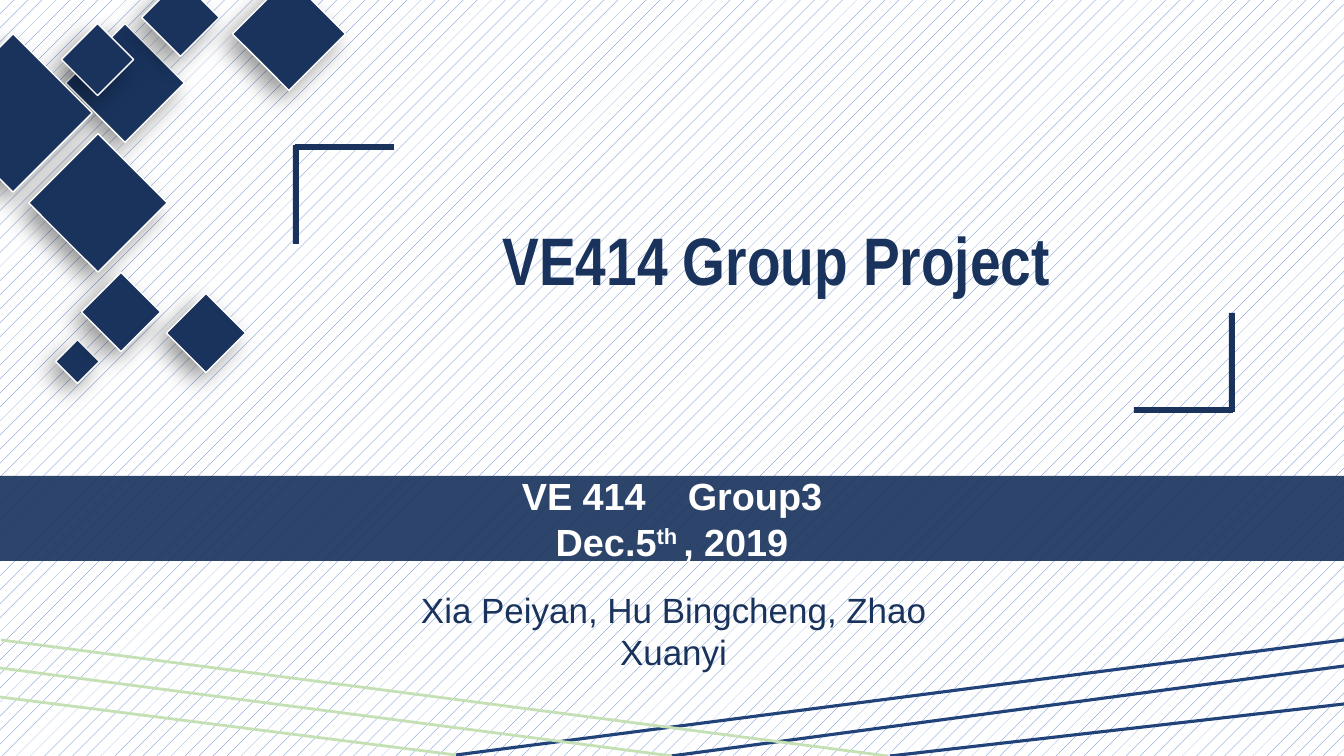
from pptx import Presentation
from pptx.dml.color import RGBColor
from pptx.enum.dml import MSO_PATTERN
from pptx.enum.shapes import MSO_CONNECTOR, MSO_SHAPE
from pptx.enum.text import MSO_ANCHOR, MSO_AUTO_SIZE, PP_ALIGN
from pptx.oxml.ns import qn
from pptx.util import Pt
from lxml import etree

RECTANGLE = MSO_SHAPE.RECTANGLE
STRAIGHT = MSO_CONNECTOR.STRAIGHT
DOTS = MSO_PATTERN.PERCENT_5
TOP, MIDDLE = MSO_ANCHOR.TOP, MSO_ANCHOR.MIDDLE
CENTER = PP_ALIGN.CENTER
NO_AUTOFIT = MSO_AUTO_SIZE.NONE

PX = 914400 / 100.8
THEME = {
    "navy": RGBColor.from_string("19335D"),
    "blue": RGBColor.from_string("214379"),
    "green": RGBColor.from_string("C5E0B4"),
    "hatch": RGBColor.from_string("4472C4"),
    "white": RGBColor.from_string("FFFFFF"),
    "title_font": "Arial Narrow", "body_font": "Arial",
    "title_size": 48, "band_size": 27, "authors_size": 25,
}


def add_block(left, top, width, height):
    block = slide.shapes.add_shape(
        RECTANGLE, *[round(v * PX) for v in (left, top, width, height)])
    block.shadow.inherit = False
    block.fill.solid()
    block.fill.fore_color.rgb = THEME["navy"]
    block.line.fill.background()
    return block


def add_run(paragraph, text, font, size, color, bold):
    paragraph.alignment = CENTER
    run = paragraph.add_run()
    run.text = text
    run.font.name = font
    run.font.size = Pt(size)
    run.font.color.rgb = color
    run.font.bold = bold
    return run


prs = Presentation()
prs.slide_width, prs.slide_height = round(1344 * PX), round(756 * PX)
slide = prs.slides.add_slide(prs.slide_layouts[0])

# Patterned background
backdrop = slide.background.fill
backdrop.patterned()
backdrop.pattern = DOTS
backdrop.fore_color.rgb = THEME["hatch"]
backdrop.back_color.rgb = THEME["white"]

# Title and authors
title, authors = slide.placeholders
for holder, box, text, font, size, bold in [
    (title, (324, 213, 905, 92), "VE414 Group Project",
     THEME["title_font"], THEME["title_size"], True),
    (authors, (357, 583, 633, 52), "Xia Peiyan, Hu Bingcheng, Zhao Xuanyi",
     THEME["body_font"], THEME["authors_size"], False),
]:
    holder.left, holder.top, holder.width, holder.height = [
        round(v * PX) for v in box]
    frame = holder.text_frame
    frame.word_wrap = True
    frame.auto_size = NO_AUTOFIT
    frame.vertical_anchor = TOP
    frame.paragraphs[0].space_before = Pt(0)
    add_run(frame.paragraphs[0], text, font, size, THEME["navy"], bold)

# Course and date band
band = add_block(0, 476, 1344, 85)
band_color = band.fill._xPr.find(qn("a:solidFill"))[0]
etree.SubElement(band_color, qn("a:alpha"), val="91000")
band.text_frame.word_wrap = True
band.text_frame.vertical_anchor = MIDDLE
course = band.text_frame.paragraphs[0]
date = band.text_frame.add_paragraph()
band_style = (THEME["body_font"], THEME["band_size"], THEME["white"], True)
add_run(course, "VE 414", *band_style)
gap = add_run(course, " ", *band_style)
gap.font._element.set("spc", "2250")  # wide gap between course and group
add_run(course, "Group3", *band_style)
add_run(date, "Dec.5", *band_style)
ordinal = add_run(date, "th ", *band_style)
ordinal.font._element.set("baseline", "30000")
add_run(date, ", 2019", *band_style)

# Corner brackets around the title
ARM, THICK = 99, 6
for across, down in [((295, 144), (293, 145)), ((1134, 407), (1229, 313))]:
    add_block(*across, ARM, THICK)
    add_block(*down, THICK, ARM)

# Crossing lines at the bottom
for color, weight, ends in [
    (THEME["blue"], 2.25, [(1344, 640, 456, 755), (1344, 704, 890, 756),
                           (1344, 666, 671, 756)]),
    (THEME["green"], 2, [(1, 640, 888, 756), (0, 668, 672, 756),
                         (0, 697, 456, 755)]),
]:
    for end in ends:
        stripe = slide.shapes.add_connector(
            STRAIGHT, *[round(v * PX) for v in end])
        stripe.line.color.rgb = color
        stripe.line.width = Pt(weight)
        etree.SubElement(stripe._element.spPr, qn("a:effectLst"))

# Shadowed diamonds: left, top, side of each turned square
for left, top, side in [
    (178, 305, 56), (83, 41, 84), (153, -10, 55), (249, -6, 80),
    (49, 154, 98), (72, 34, 51), (-43, 57, 112), (62, 346, 31),
    (93, 284, 56),
]:
    diamond = add_block(left, top, side, side)
    diamond.rotation = 45
    diamond.line.color.rgb = THEME["white"]
    diamond.line.width = Pt(1)
    effects = diamond._element.spPr.find(qn("a:effectLst"))
    shadow = etree.SubElement(
        effects, qn("a:outerShdw"), blurRad=str(Pt(17)), dist=str(Pt(9)),
        dir=str(135 * 60000), algn="ctr", rotWithShape="0")
    shade = etree.SubElement(shadow, qn("a:srgbClr"), val="000000")
    etree.SubElement(shade, qn("a:alpha"), val="40000")

prs.save("out.pptx")
